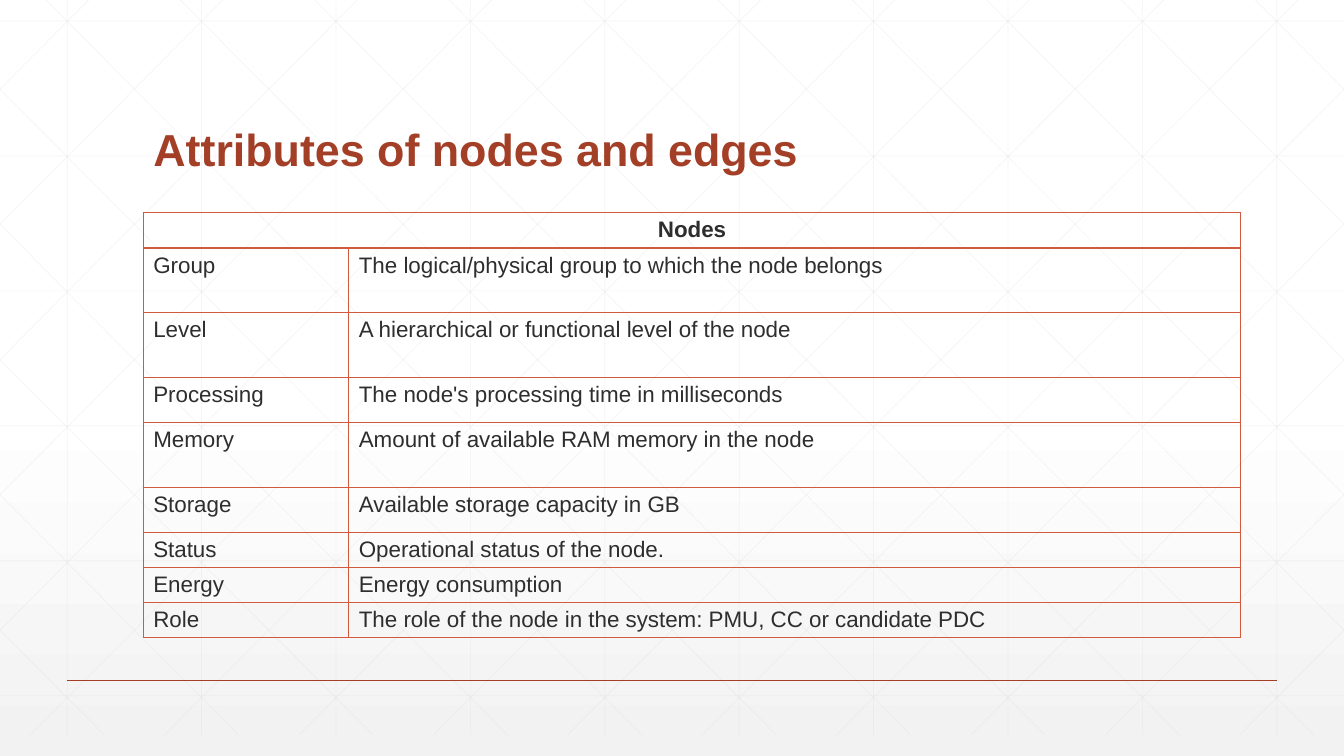
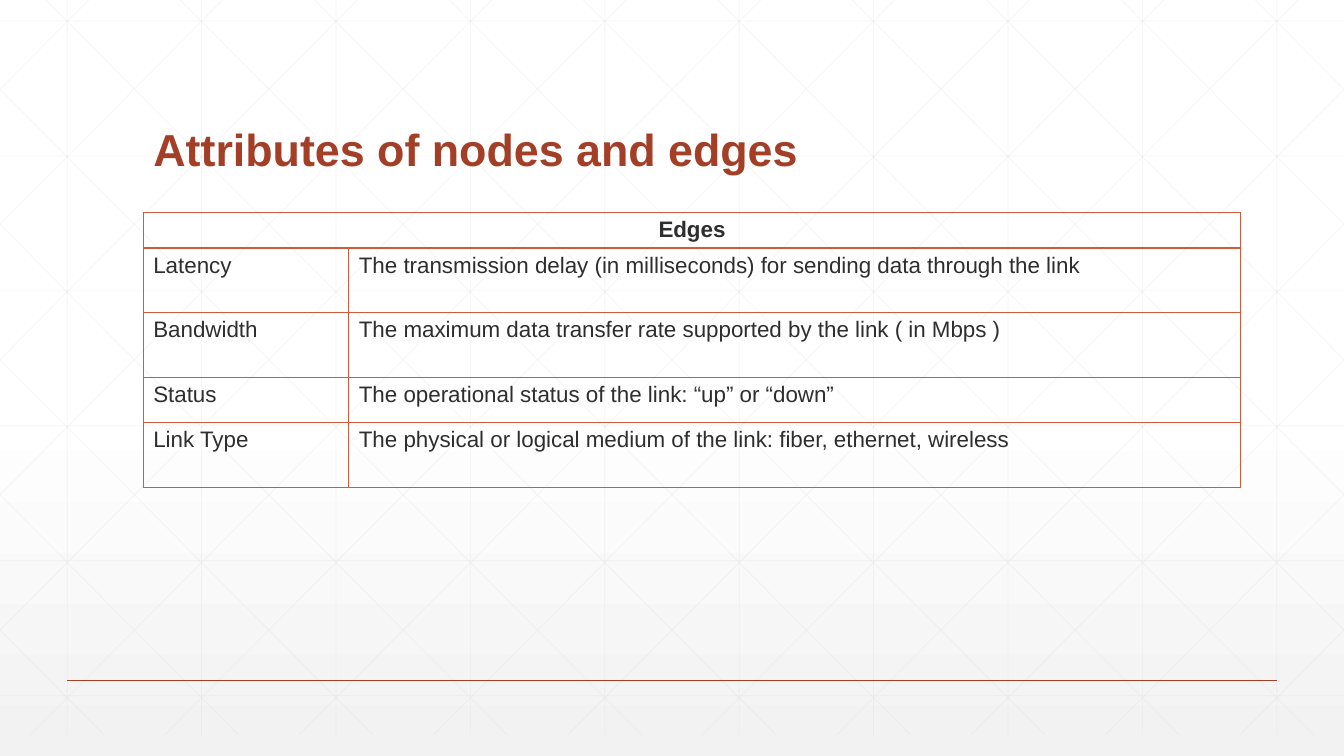
"""Build two slides that list the attributes of nodes and edges."""
from dataclasses import dataclass

from lxml import etree
from pptx import Presentation
from pptx.dml.color import RGBColor
from pptx.enum.shapes import MSO_CONNECTOR, PP_PLACEHOLDER
from pptx.enum.text import MSO_ANCHOR, MSO_AUTO_SIZE, PP_ALIGN
from pptx.oxml.ns import qn
from pptx.presentation import Presentation as Deck
from pptx.slide import Slide, SlideLayout
from pptx.table import _Cell as Cell
from pptx.text.text import _Paragraph as Paragraph
from pptx.util import Cm, Pt

STRAIGHT = MSO_CONNECTOR.STRAIGHT
TITLE = PP_PLACEHOLDER.TITLE
BOTTOM = MSO_ANCHOR.BOTTOM
NO_AUTOFIT = MSO_AUTO_SIZE.NONE
LEFT, CENTER = PP_ALIGN.LEFT, PP_ALIGN.CENTER


@dataclass(frozen=True)
class Theme:
    """Colours, font and type sizes of the deck."""

    font: str = "Arial"
    title_color: str = "A43F27"
    border_color: str = "D15A3E"
    text_color: str = "2D2E2D"
    grid_color: str = "D9D9D9"
    title_size: int = 32
    table_size: int = 16


@dataclass(frozen=True)
class Stop:
    """One gradient stop, in percent."""

    position: int
    color: str
    opacity: int = 100


@dataclass(frozen=True)
class Line:
    """A straight line, in centimetres."""

    start_x: float
    start_y: float
    end_x: float
    end_y: float

    def mirrored(self) -> "Line":
        """Return the line reflected across the slide's vertical axis."""
        return Line(WIDTH - self.start_x, self.start_y, WIDTH - self.end_x, self.end_y)


@dataclass(frozen=True)
class Attribute:
    """One table row: name, description and row height."""

    name: str
    description: str
    height: float


@dataclass(frozen=True)
class AttributeTable:
    """A headed list of attributes."""

    heading: str
    attributes: tuple[Attribute, ...]


THEME = Theme()
WIDTH, HEIGHT = 33.87, 19.05
GRID_TOP, GRID_BOTTOM = -0.53, 18.52
GRID_STEP = WIDTH / 10
ROW_STEP = 3.4
DIAGONAL_START, DIAGONAL_RUN = 0.63, 18.93
MARGIN = 1.7
RULE_TOP = 17.15
CONTENT_LEFT = 3.61
TITLE_TOP, TITLE_WIDTH, TITLE_HEIGHT = 1.4, 26.67, 3.18
TABLE_TOP = 5.36
COLUMN_WIDTHS = (5.18, 22.48)
HEADER_HEIGHT, TALL, MEDIUM, SHORT = 0.89, 1.63, 1.14, 0.81
TITLE_TEXT = "Attributes of nodes and edges"
BACKGROUND = (Stop(0, "FFFFFF"), Stop(53, "FFFFFF"), Stop(100, "F2F2F2", 65))

TABLES = (
    AttributeTable("Nodes", (
        Attribute("Group", "The logical/physical group to which the node belongs", TALL),
        Attribute("Level", "A hierarchical or functional level of the node", TALL),
        Attribute("Processing", "The node's processing time in milliseconds", MEDIUM),
        Attribute("Memory", "Amount of available RAM memory in the node", TALL),
        Attribute("Storage", "Available storage capacity in GB", MEDIUM),
        Attribute("Status", "Operational status of the node.", SHORT),
        Attribute("Energy", "Energy consumption", SHORT),
        Attribute("Role", "The role of the node in the system: PMU, CC or candidate PDC", SHORT),
    )),
    AttributeTable("Edges", (
        Attribute(
            "Latency",
            "The transmission delay (in milliseconds) for sending data through the link",
            TALL,
        ),
        Attribute(
            "Bandwidth", "The maximum data transfer rate supported by the link ( in Mbps )", TALL
        ),
        Attribute("Status", "The operational status of the link: “up” or “down”", MEDIUM),
        Attribute(
            "Link Type", "The physical or logical medium of the link: fiber, ethernet, wireless", TALL
        ),
    )),
)


def add_color(parent: etree._Element, color: str, opacity: int = 100) -> None:
    """Append an RGB colour with optional transparency."""
    node = etree.SubElement(parent, qn("a:srgbClr"), val=color)
    if opacity < 100:
        etree.SubElement(node, qn("a:alpha"), val=str(opacity * 1000))


def add_span(para: Paragraph, text: str, size: int, color: str, bold: bool = False) -> None:
    """Append a formatted run to a paragraph."""
    span = para.add_run()
    span.text = text
    span.font.name = THEME.font
    span.font.size = Pt(size)
    span.font.bold = bold
    span.font.color.rgb = RGBColor.from_string(color)


def add_line(shapes, line: Line, color: str, width: float, opacity: int = 100):
    """Draw a straight line without shadow."""
    connector = shapes.add_connector(
        STRAIGHT, Cm(line.start_x), Cm(line.start_y), Cm(line.end_x), Cm(line.end_y)
    )
    connector.line.width = Pt(width)
    connector.line.color.rgb = RGBColor.from_string(color)
    properties = connector.element.spPr
    if opacity < 100:
        node = properties.find(".//" + qn("a:srgbClr"))
        etree.SubElement(node, qn("a:alpha"), val=str(opacity * 1000))
    etree.SubElement(properties, qn("a:effectLst"))
    return connector


def falling_line(index: int) -> Line:
    """Return one falling diagonal, clipped to the slide's sides."""
    start = DIAGONAL_START + index * GRID_STEP
    slope = (GRID_BOTTOM - GRID_TOP) / DIAGONAL_RUN
    left, right = max(start, 0), min(start + DIAGONAL_RUN, WIDTH)
    return Line(left, GRID_TOP + (left - start) * slope, right, GRID_TOP + (right - start) * slope)


def grid_lines() -> list[Line]:
    """Return the vertical, horizontal and diagonal grid lines."""
    columns = [(index + 0.5) * GRID_STEP for index in range(10)]
    rows = [0.53 + index * ROW_STEP for index in range(6)]
    falling = [falling_line(index) for index in range(-5, 10)]
    return (
        [Line(x, GRID_TOP, x, GRID_BOTTOM) for x in columns]
        + [Line(0, y, WIDTH, y) for y in rows]
        + falling
        + [line.mirrored() for line in falling]
    )


def prepare_layout(layout: SlideLayout) -> None:
    """Set the shared background and title place on the layout."""
    fill = layout.background.fill
    fill.gradient()
    fill.gradient_angle = 270
    stops = layout.element.find(".//" + qn("a:gsLst"))
    stops.clear()
    for stop in BACKGROUND:
        node = etree.SubElement(stops, qn("a:gs"), pos=str(stop.position * 1000))
        add_color(node, stop.color, stop.opacity)
    for holder in list(layout.placeholders):
        if holder.placeholder_format.type == TITLE:
            holder.left, holder.top = Cm(CONTENT_LEFT), Cm(TITLE_TOP)
            holder.width, holder.height = Cm(TITLE_WIDTH), Cm(TITLE_HEIGHT)
        else:
            holder.element.getparent().remove(holder.element)


def add_layout_lines(slide: Slide) -> None:
    """Draw the grid and the bottom rule, then hand them to the slide's layout."""
    grid = slide.shapes.add_group_shape()
    for line in grid_lines():
        add_line(grid.shapes, line, THEME.grid_color, 0.5, 25)
    rule = add_line(
        slide.shapes, Line(MARGIN, RULE_TOP, WIDTH - MARGIN, RULE_TOP), THEME.title_color, 1
    )
    tree = slide.slide_layout.shapes.element
    for shape in (grid, rule):
        tree.append(shape.element)


def fill_title(slide: Slide) -> None:
    """Write and format the slide title."""
    frame = slide.shapes.title.text_frame
    frame.vertical_anchor = BOTTOM
    frame.auto_size = NO_AUTOFIT
    frame.word_wrap = True
    para = frame.paragraphs[0]
    para.alignment = LEFT
    para.line_spacing = 0.9
    add_span(para, TITLE_TEXT, THEME.title_size, THEME.title_color, True)


def format_cell(cell: Cell, top: float, bottom: float) -> None:
    """Give a cell its borders and no fill."""
    properties = cell._tc.get_or_add_tcPr()
    for side, width in (("L", 1), ("R", 1), ("T", top), ("B", bottom)):
        border = etree.SubElement(properties, qn("a:ln" + side), w=str(Pt(width)))
        add_color(etree.SubElement(border, qn("a:solidFill")), THEME.border_color)
    cell.fill.background()


def add_attribute_table(slide: Slide, content: AttributeTable) -> None:
    """Add a table with a merged heading and one row per attribute."""
    heights = [HEADER_HEIGHT] + [attribute.height for attribute in content.attributes]
    frame = slide.shapes.add_table(
        len(heights), len(COLUMN_WIDTHS), Cm(CONTENT_LEFT), Cm(TABLE_TOP),
        Cm(sum(COLUMN_WIDTHS)), Cm(sum(heights)),
    )
    table = frame.table
    table.first_row = table.horz_banding = False
    for column, width in zip(table.columns, COLUMN_WIDTHS):
        column.width = Cm(width)
    for index, (row, height) in enumerate(zip(table.rows, heights)):
        row.height = Cm(height)
        for cell in row.cells:
            format_cell(cell, 2 if index == 1 else 1, 2 if index == 0 else 1)
    header = table.cell(0, 0)
    header.merge(table.cell(0, 1))
    para = header.text_frame.paragraphs[0]
    para.alignment = CENTER
    add_span(para, content.heading, THEME.table_size, THEME.text_color, True)
    for index, attribute in enumerate(content.attributes, start=1):
        for column, text in enumerate((attribute.name, attribute.description)):
            para = table.cell(index, column).text_frame.paragraphs[0]
            add_span(para, text, THEME.table_size, THEME.text_color)


def build_deck() -> Deck:
    """Build the whole deck."""
    deck = Presentation()
    deck.slide_width, deck.slide_height = Cm(WIDTH), Cm(HEIGHT)
    layout = deck.slide_layouts[5]
    prepare_layout(layout)
    slides = [deck.slides.add_slide(layout) for _ in TABLES]
    add_layout_lines(slides[0])
    for slide, content in zip(slides, TABLES):
        fill_title(slide)
        add_attribute_table(slide, content)
    return deck


def main() -> None:
    """Save the deck."""
    build_deck().save("out.pptx")


if __name__ == "__main__":
    main()
